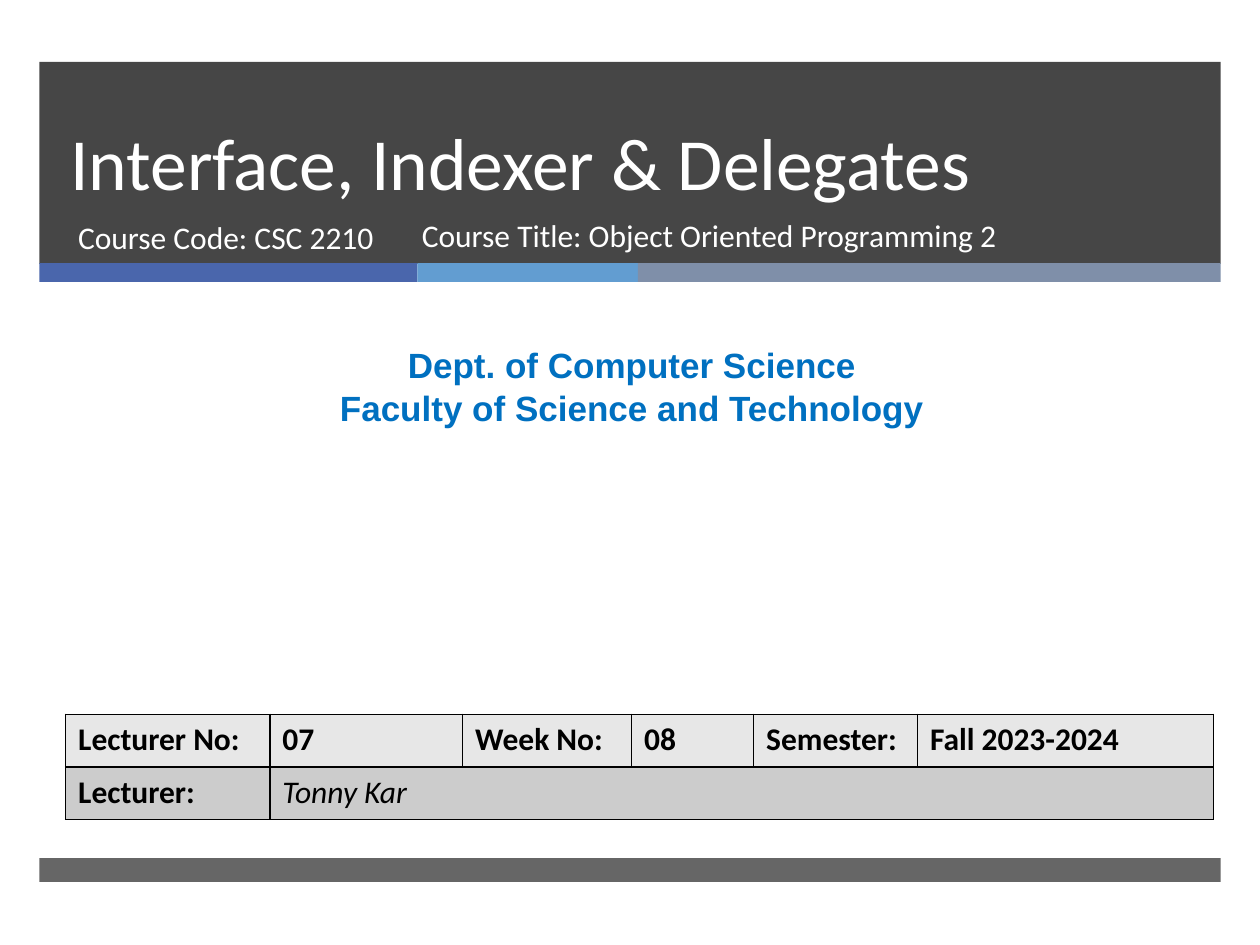
"""Build the opening slide of a lecture on interfaces, indexers and delegates."""
from lxml import etree
from pptx import Presentation
from pptx import util as u
from pptx.dml.color import RGBColor
from pptx.enum import shapes, text
from pptx.oxml.ns import qn


def color(value):
    return RGBColor.from_string(value)


def write(frame, lines, size, ink, name="Calibri", bold=False, italic=False, align=text.PP_ALIGN.LEFT):
    frame.word_wrap = True
    frame.text = "\n".join(lines)
    for paragraph in frame.paragraphs:
        paragraph.alignment = align
        paragraph.font.name = name
        paragraph.font.size = u.Pt(size)
        paragraph.font.bold = bold
        paragraph.font.italic = italic
        paragraph.font.color.rgb = color(ink)


presentation = Presentation()
presentation.slide_width, presentation.slide_height = u.Pt(720), u.Pt(540)
slide = presentation.slides.add_slide(presentation.slide_layouts[5])

bands = [
    (22.5, 35.3, 675, 115.5, "262626", 85),
    (22.5, 150.3, 216, 10.8, "4A66AC", 100),
    (238.5, 150.3, 126, 10.8, "629DD1", 100),
    (364.5, 150.3, 333, 10.8, "7F8FA9", 100),
    (22.5, 490.3, 675, 13.7, "262626", 70),
]
for left, top, width, height, fill, opacity in bands:
    band = slide.shapes.add_shape(
        shapes.MSO_SHAPE.RECTANGLE, u.Pt(left), u.Pt(top), u.Pt(width), u.Pt(height))
    band.shadow.inherit = False
    band.line.fill.background()
    band.fill.solid()
    band.fill.fore_color.rgb = color(fill)
    if opacity < 100:
        tint = band.element.spPr.find(qn("a:solidFill")).find(qn("a:srgbClr"))
        etree.SubElement(tint, qn("a:alpha")).set("val", str(opacity * 1000))

title = slide.shapes.title
title.element.getparent().append(title.element)
title.left, title.top, title.width, title.height = u.Pt(33), u.Pt(35.3), u.Pt(615), u.Pt(85.7)
write(title.text_frame, ["Interface, Indexer & Delegates"], 42, "FFFFFF")
title.text_frame.auto_size = text.MSO_AUTO_SIZE.NONE
title.text_frame.vertical_anchor = text.MSO_ANCHOR.BOTTOM
title.text_frame.paragraphs[0].line_spacing = u.Pt(46)

course_style = {"size": 18, "ink": "FFFFFF"}
department_style = {"size": 20, "ink": "0070C0", "name": "Arial", "bold": True,
                    "align": text.PP_ALIGN.CENTER}
captions = [
    (37.5, 121, 219.6, 38, ["Course Code: CSC 2210"], course_style),
    (234, 119.7, 368, 38, ["Course Title: Object Oriented Programming 2"], course_style),
    (5.8, 193, 710.6, 55.7,
     ["Dept. of Computer Science", "Faculty of Science and Technology"], department_style),
]
for left, top, width, height, lines, style in captions:
    box = slide.shapes.add_textbox(u.Pt(left), u.Pt(top), u.Pt(width), u.Pt(height))
    write(box.text_frame, lines, **style)

column_widths = [116.7, 110.2, 96.5, 69.8, 93.6, 169.2]
row_fills = ["E7E7E7", "CCCCCC"]
rows = [
    ["Lecturer No:", "07", "Week No:", "08", "Semester:", "Fall 2023-2024"],
    ["Lecturer:", "Tonny Kar"],
]
table = slide.shapes.add_table(
    len(rows), len(column_widths), u.Pt(37.5), u.Pt(408.2), u.Pt(656), u.Pt(60)).table
for column, width in zip(table.columns, column_widths):
    column.width = u.Pt(width)
for row, values in enumerate(rows):
    for column in range(len(column_widths)):
        cell = table.cell(row, column)
        properties = cell._tc.get_or_add_tcPr()
        for side in ("lnL", "lnR", "lnT", "lnB"):
            border = etree.SubElement(properties, qn(f"a:{side}"), w=str(u.Pt(1)))
            stroke = etree.SubElement(border, qn("a:solidFill"))
            etree.SubElement(stroke, qn("a:srgbClr"), val="000000")
        cell.fill.solid()
        cell.fill.fore_color.rgb = color(row_fills[row])
        if column < len(values):
            is_name = (row, column) == (1, 1)
            write(cell.text_frame, [values[column]], 18, "000000", bold=not is_name, italic=is_name)
table.cell(1, 1).merge(table.cell(1, 5))

presentation.save("out.pptx")
